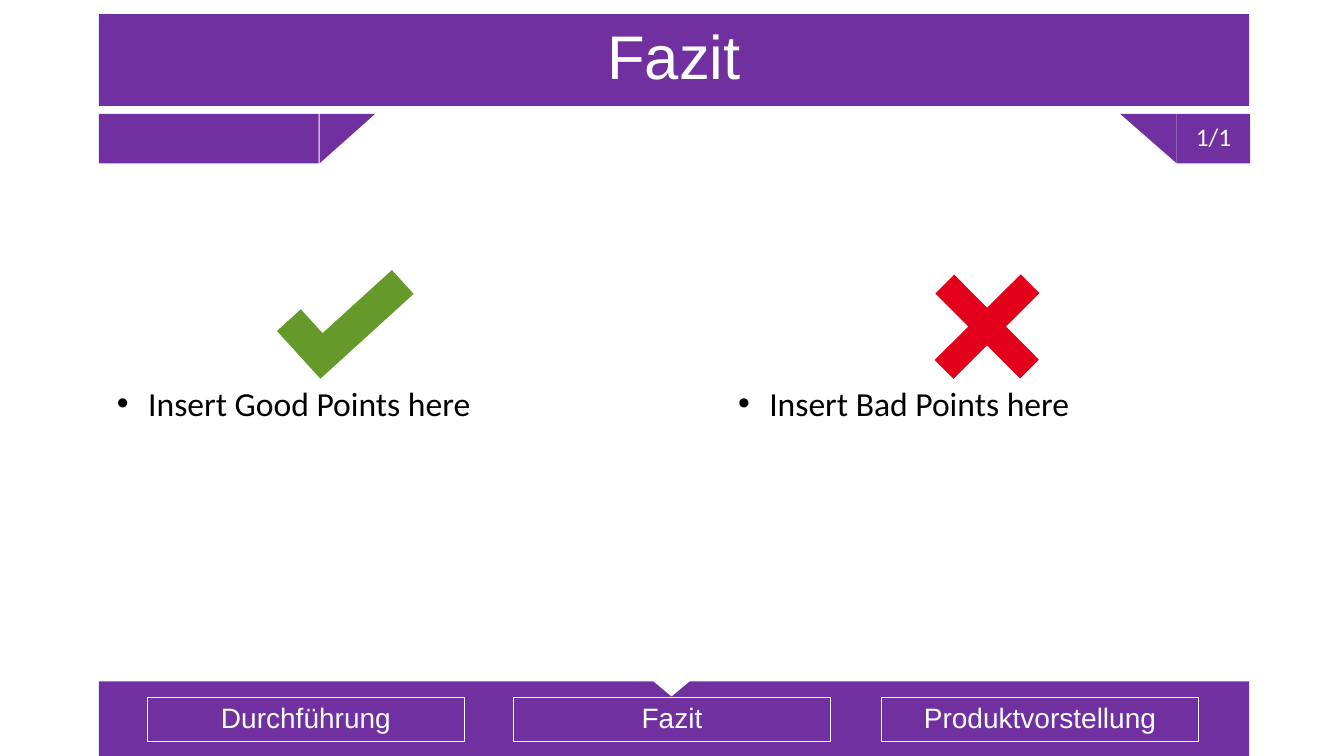
from dataclasses import dataclass

from pptx import Presentation
from pptx import util as u
from pptx.dml import color
from pptx.enum import shapes, text

PURPLE = "7030A0"
WHITE = "FFFFFF"
BLACK = "000000"
GREEN = "659A2A"
RED = "E2001A"

BAND_LEFT, BAND_WIDTH = 0.98, 11.41
NAVIGATION_WIDTH = 3.15
Kind = shapes.MSO_SHAPE


@dataclass
class Box:
    left: float
    top: float
    width: float
    height: float


@dataclass
class Figure:
    kind: Kind
    box: Box
    fill: str | None = PURPLE
    line: str | None = None
    line_width: float = 0.75
    rotation: float = 0
    adjustment: float | None = None


@dataclass
class Label:
    words: str
    size: float
    font: str = "Arial"
    color: str = WHITE
    align: text.PP_ALIGN = text.PP_ALIGN.CENTER
    anchor: text.MSO_ANCHOR = text.MSO_ANCHOR.MIDDLE
    line_spacing: float = 0.9


def rgb(value: str) -> color.RGBColor:
    return color.RGBColor.from_string(value)


def place(shape, box: Box) -> None:
    shape.left, shape.top = u.Inches(box.left), u.Inches(box.top)
    shape.width, shape.height = u.Inches(box.width), u.Inches(box.height)


def write(shape, label: Label):
    frame = shape.text_frame
    frame.auto_size = text.MSO_AUTO_SIZE.NONE
    frame.word_wrap = True
    frame.vertical_anchor = label.anchor
    paragraph = frame.paragraphs[0]
    paragraph.alignment = label.align
    paragraph.line_spacing = label.line_spacing
    paragraph.space_before = u.Pt(0)
    run = paragraph.add_run()
    run.text = label.words
    run.font.size = u.Pt(label.size)
    run.font.name = label.font
    run.font.color.rgb = rgb(label.color)
    return paragraph


def draw(slide, figure: Figure):
    box = figure.box
    shape = slide.shapes.add_shape(
        figure.kind, u.Inches(box.left), u.Inches(box.top),
        u.Inches(box.width), u.Inches(box.height))
    shape.shadow.inherit = False
    shape.rotation = figure.rotation
    if figure.adjustment is not None:
        shape.adjustments[0] = figure.adjustment
    if figure.fill:
        shape.fill.solid()
        shape.fill.fore_color.rgb = rgb(figure.fill)
    else:
        shape.fill.background()
    if figure.line:
        shape.line.color.rgb = rgb(figure.line)
        shape.line.width = u.Pt(figure.line_width)
    else:
        shape.line.fill.background()
    return shape


def fill_title(title, words: str) -> None:
    place(title, Box(BAND_LEFT, 0.14, BAND_WIDTH, 0.91))
    title.fill.solid()
    title.fill.fore_color.rgb = rgb(PURPLE)
    write(title, Label(words, 44))


def fill_list(placeholder, box: Box, words: str) -> None:
    place(placeholder, box)
    paragraph = write(placeholder, Label(
        words, 24, "Calibri", BLACK, text.PP_ALIGN.LEFT, text.MSO_ANCHOR.TOP, 1.0))
    placeholder.text_frame.word_wrap = False
    placeholder.text_frame.auto_size = text.MSO_AUTO_SIZE.SHAPE_TO_FIT_TEXT
    properties = paragraph._p.get_or_add_pPr()
    properties.set("marL", str(u.Inches(0.31)))
    properties.set("indent", str(u.Inches(-0.31)))


def main() -> None:
    presentation = Presentation()
    presentation.slide_width = u.Inches(13.33)
    presentation.slide_height = u.Inches(7.5)
    slide = presentation.slides.add_slide(presentation.slide_layouts[3])

    fill_title(slide.shapes.title, "Fazit")
    fill_list(slide.placeholders[1], Box(1.06, 3.75, 3.74, 0.5), "Insert Good Points here")
    fill_list(slide.placeholders[2], Box(7.22, 3.75, 3.52, 0.5), "Insert Bad Points here")

    footer = Figure(Kind.RECTANGLE, Box(BAND_LEFT, 6.76, BAND_WIDTH, 0.74))
    current_marker = Figure(Kind.ISOSCELES_TRIANGLE, Box(6.48, 6.75, 0.36, 0.15),
                            WHITE, WHITE, 1, rotation=180)
    left_tab = Figure(Kind.RECTANGLE, Box(BAND_LEFT, 1.13, 2.18, 0.49))
    left_slope = Figure(Kind.RIGHT_TRIANGLE, Box(3.2, 1.1, 0.49, 0.55), rotation=90)
    right_slope = Figure(Kind.RIGHT_TRIANGLE, Box(11.11, 1.13, 0.56, 0.49), rotation=180)
    check_mark = Figure(Kind.CORNER, Box(2.8, 2.78, 1.25, 0.64), GREEN, rotation=317.7)
    cross_mark = Figure(Kind.MATH_PLUS, Box(8.98, 2.42, 1.62, 1.64), RED,
                        rotation=45.1, adjustment=0.163)
    for figure in (footer, current_marker, left_tab, left_slope, right_slope,
                   check_mark, cross_mark):
        draw(slide, figure)

    page_tab = draw(slide, Figure(Kind.RECTANGLE, Box(11.67, 1.13, 0.73, 0.49)))
    write(page_tab, Label("1/1", 18, "Calibri"))

    navigation = {"Durchführung": 1.46, "Fazit": 5.09, "Produktvorstellung": 8.74}
    for words, left in navigation.items():
        button = draw(slide, Figure(
            Kind.RECTANGLE, Box(left, 6.92, NAVIGATION_WIDTH, 0.44), None, WHITE))
        write(button, Label(words, 20))

    presentation.save("out.pptx")


if __name__ == "__main__":
    main()
